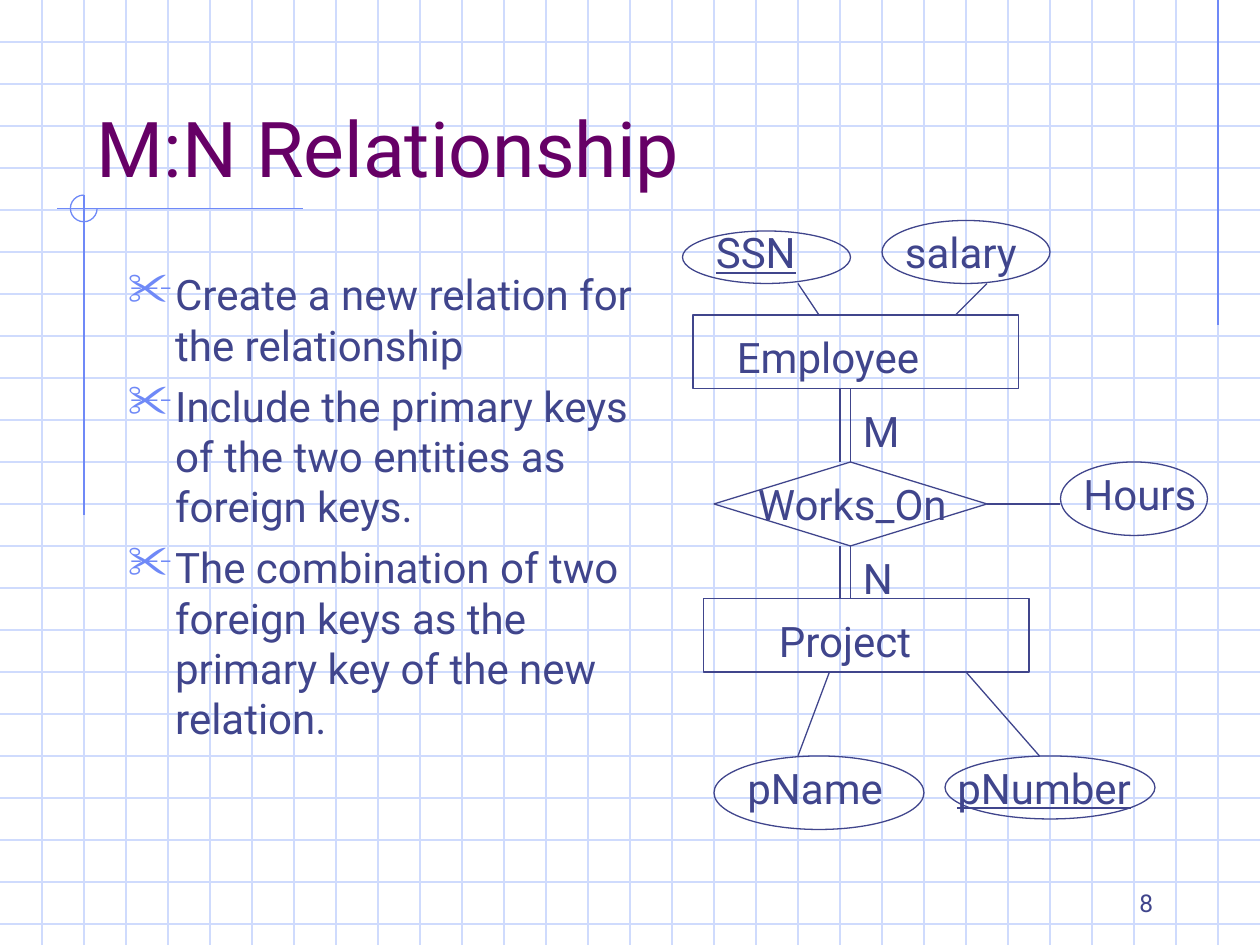
from lxml.etree import SubElement
from pptx import Presentation
from pptx.dml.color import RGBColor
from pptx.enum.shapes import MSO_CONNECTOR, MSO_SHAPE
from pptx.enum.text import MSO_ANCHOR, PP_ALIGN
from pptx.oxml.ns import qn
from pptx.util import Pt

FONT = "Roboto"
INK = RGBColor(0x40, 0x45, 0x8C)
PURPLE = RGBColor(0x66, 0x00, 0x66)
GRID = RGBColor(0xCF, 0xDB, 0xFD)
ACCENT = RGBColor(0x6F, 0x89, 0xF7)
W, H, STEP = 720, 540, 24

BULLETS = [
    "Create a new relation for the relationship",
    "Include the primary keys of the two entities as foreign keys.",
    "The combination of two foreign keys as the primary key of the new relation.",
]

# name: shape, its box, underlined (key), its label's box
NODES = {
    "Employee": (MSO_SHAPE.RECTANGLE, (396, 180, 186, 42), False, (414, 186, 150, 36)),
    "Project": (MSO_SHAPE.RECTANGLE, (402, 342, 186, 42), False, (438, 348, 144, 36)),
    "Works_On": (MSO_SHAPE.DIAMOND, (408, 264, 156, 48), False, (426, 270, 126, 36)),
    "Hours": (MSO_SHAPE.OVAL, (606, 264, 84, 42), False, (612, 264, 84, 36)),
    "SSN": (MSO_SHAPE.OVAL, (390, 132, 96, 30), True, (402, 126, 72, 36)),
    "salary": (MSO_SHAPE.OVAL, (504, 126, 96, 36), False, (510, 126, 90, 36)),
    "pNumber": (MSO_SHAPE.OVAL, (540, 432, 120, 36), True, (540, 432, 114, 36)),
    "pName": (MSO_SHAPE.OVAL, (408, 432, 120, 42), False, (420, 432, 96, 36)),
}
CARDINALITIES = {"M": (486, 228, 42, 36), "N": (486, 312, 42, 36)}

# start, end, and the corner of the diamond where the line starts, if any
LINKS = [
    ((486, 264), (486, 222), 0),
    ((486, 312), (486, 342), 2),
    ((564, 288), (606, 288), 3),
    ((480, 222), (480, 264), None),
    ((480, 312), (480, 342), None),
    ((456, 162), (468, 180), None),
    ((564, 162), (546, 180), None),
    ((474, 384), (456, 432), None),
    ((552, 384), (594, 432), None),
]
RULES = [((696, 0), (696, 186)), ((173, 119.25), (32.5, 119.25)), ((48, 111.5), (48, 294.5))]

prs = Presentation()
prs.slide_width, prs.slide_height = Pt(W), Pt(H)
s = prs.slides.add_slide(prs.slide_layouts[6])


def add_line(start, end, color):
    c = s.shapes.add_connector(MSO_CONNECTOR.STRAIGHT, *map(Pt, start + end))
    c.line.color.rgb = color
    c.line.width = Pt(0.75)
    SubElement(c._element.spPr, qn("a:effectLst"))
    return c


def add_outline(kind, box, color):
    sp = s.shapes.add_shape(kind, *map(Pt, box))
    sp.shadow.inherit = False
    sp.fill.background()
    sp.line.color.rgb = color
    sp.line.width = Pt(0.75)
    return sp


def add_text(box, *paragraphs, size=24, color=INK, underline=None,
             align=PP_ALIGN.LEFT, anchor=MSO_ANCHOR.TOP, space=0):
    tf = s.shapes.add_textbox(*map(Pt, box)).text_frame
    tf.word_wrap = True
    tf.vertical_anchor = anchor
    for i, text in enumerate(paragraphs):
        p = tf.paragraphs[0] if i == 0 else tf.add_paragraph()
        p.alignment = align
        p.space_before = Pt(space)
        r = p.add_run()
        r.text = text
        r.font.name, r.font.size = FONT, Pt(size)
        r.font.color.rgb = color
        r.font.underline = underline
    return tf


def add_bullet(p, char="✂", indent=27):
    pPr = p._p.get_or_add_pPr()
    pPr.set("marL", str(Pt(indent)))
    pPr.set("indent", str(-Pt(indent)))
    SubElement(SubElement(pPr, qn("a:buClr")), qn("a:srgbClr"), val=str(ACCENT))
    SubElement(pPr, qn("a:buSzPct"), val="110000")
    SubElement(pPr, qn("a:buChar"), char=char)


# Graph paper and its ornaments
for y in range(STEP, H, STEP):
    add_line((0, y), (W, y), GRID)
for x in range(STEP, W, STEP):
    add_line((x, 0), (x, H), GRID)
for start, end in RULES:
    add_line(start, end, ACCENT)
arc = add_outline(MSO_SHAPE.ARC, (40.25, 111.5, 15.25, 15.25), ACCENT)
arc.adjustments[0], arc.adjustments[1] = 0, 162  # from 0 to 270 degrees

# Title, body and page number
add_text((516, 492, 150, 36), "8", size=14, align=PP_ALIGN.RIGHT, anchor=MSO_ANCHOR.BOTTOM)
add_text((48, 24, 612, 90), "M:N Relationship", size=44, color=PURPLE, anchor=MSO_ANCHOR.BOTTOM)
for p in add_text((66, 150, 312, 342), *BULLETS, space=6).paragraphs:
    add_bullet(p)

# Entity-relationship diagram
outlines = {}
for name, (kind, box, is_key, label_box) in NODES.items():
    outlines[name] = add_outline(kind, box, INK)
    add_text(label_box, name, underline=is_key or None)
for text, box in CARDINALITIES.items():
    add_text(box, text)
for start, end, corner in LINKS:
    link = add_line(start, end, INK)
    if corner is not None:
        link.begin_connect(outlines["Works_On"], corner)

prs.save("out.pptx")
